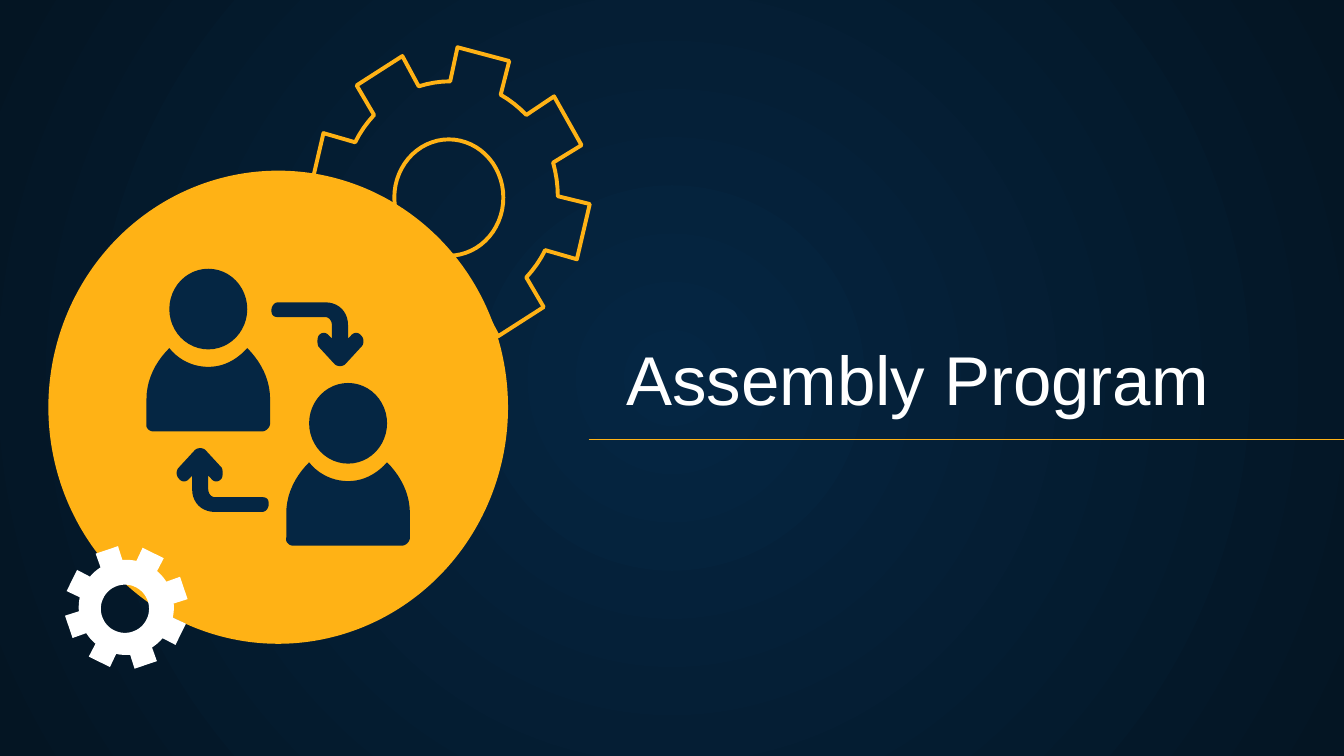
import math

import pptx
import pptx.dml.color
import pptx.enum.shapes
import pptx.enum.text
import pptx.oxml
import pptx.oxml.ns
import pptx.util
from pptx.util import Inches

NAVY = pptx.dml.color.RGBColor(0x05, 0x26, 0x43)
MIDNIGHT = pptx.dml.color.RGBColor(0x04, 0x15, 0x23)
AMBER = pptx.dml.color.RGBColor(0xFF, 0xB2, 0x15)
WHITE = pptx.dml.color.RGBColor(0xFF, 0xFF, 0xFF)

# Outlines in inches: a pair is a corner, six numbers are a Bezier curve.
SHOULDERS = [
    (1.26, 2.59), (1.16, 2.69, 1.09, 2.82, 1.09, 2.97), (1.09, 3.15),
    (1.08, 3.18, 1.11, 3.21, 1.14, 3.21), (1.95, 3.21),
    (1.98, 3.21, 2.01, 3.18, 2.01, 3.15), (2.01, 2.97),
    (2.01, 2.82, 1.94, 2.69, 1.84, 2.59),
    (1.76, 2.68, 1.66, 2.73, 1.55, 2.73),
    (1.44, 2.73, 1.33, 2.68, 1.26, 2.59),
]
SWAP_ARROW = [
    (2.07, 2.25), (2.04, 2.25, 2.02, 2.28, 2.02, 2.31),
    (2.02, 2.34, 2.03, 2.36, 2.07, 2.36), (2.42, 2.36),
    (2.45, 2.36, 2.47, 2.39, 2.47, 2.42), (2.47, 2.52), (2.45, 2.5),
    (2.43, 2.47, 2.39, 2.47, 2.37, 2.5),
    (2.36, 2.52, 2.36, 2.56, 2.37, 2.58), (2.49, 2.71),
    (2.51, 2.73, 2.55, 2.73, 2.57, 2.71), (2.69, 2.58),
    (2.71, 2.56, 2.71, 2.52, 2.69, 2.5),
    (2.67, 2.47, 2.63, 2.47, 2.61, 2.5), (2.59, 2.52), (2.59, 2.42),
    (2.59, 2.32, 2.52, 2.25, 2.42, 2.25),
]


def trace(outline, steps=10):
    """Turn corners and Bezier curves into a list of points."""
    points = []
    for step in outline:
        if len(step) == 2:
            points.append(step)
            continue
        start, c1, c2, end = points[-1], step[:2], step[2:4], step[4:]
        for i in range(1, steps + 1):
            t = i / steps
            u = 1 - t
            points.append(tuple(
                u**3 * a + 3 * u * u * t * b + 3 * u * t * t * c + t**3 * d
                for a, b, c, d in zip(start, c1, c2, end)))
    return points


def gear_contours(cx, cy, rx, ry, turn, teeth=8):
    """Rim and hole of a gear whose first tooth points at `turn` degrees."""
    def at(radius, degrees):
        angle = math.radians(degrees)
        return (cx + rx * radius * math.cos(angle),
                cy + ry * radius * math.sin(angle))

    pitch, tip, root = 360 / teeth, 11, 14
    rim = []
    for tooth in range(teeth):
        middle = turn + tooth * pitch
        rim += [at(0.77, middle - root), at(1, middle - tip), at(1, middle + tip)]
        valley = pitch - 2 * root
        rim += [at(0.77, middle + root + valley * i / 4) for i in range(4)]
    hole = [at(0.39, -degrees) for degrees in range(0, 360, 6)]
    return [rim, [(x - 0.01, y + 0.01) for x, y in hole]]


class SlideArtist:
    def __init__(self, slide):
        self.slide = slide
        self.shapes = slide.shapes
        self.font = "Arial"

    def background(self, centre, edge):
        fill = self.slide.background.fill
        fill.gradient()
        for stop, color, position in zip(fill.gradient_stops, (centre, edge), (0, 1)):
            stop.color.rgb = color
            stop.position = position
        qn = pptx.oxml.ns.qn
        gradient = self.slide.element.find(".//" + qn("a:gradFill"))
        linear = gradient.find(qn("a:lin"))
        gradient.replace(linear, pptx.oxml.parse_xml(
            f'<a:path {pptx.oxml.ns.nsdecls("a")} path="circle">'
            '<a:fillToRect l="50000" t="50000" r="50000" b="50000"/></a:path>'))

    def paint(self, shape, fill, line=None, weight=0):
        shape.shadow.inherit = False
        if fill is None:
            shape.fill.background()
        else:
            shape.fill.solid()
            shape.fill.fore_color.rgb = fill
        if line is None:
            shape.line.fill.background()
        else:
            shape.line.color.rgb = line
            shape.line.width = pptx.util.Pt(weight)

    def ellipse(self, left, top, width, height, fill):
        oval = self.shapes.add_shape(
            pptx.enum.shapes.MSO_SHAPE.OVAL,
            Inches(left), Inches(top), Inches(width), Inches(height))
        self.paint(oval, fill)

    def outline(self, contours, fill, line=None, weight=0):
        contours = [[(Inches(x), Inches(y)) for x, y in c] for c in contours]
        builder = self.shapes.build_freeform(*contours[0][0])
        for index, points in enumerate(contours):
            if index:
                builder.move_to(*points[0])
            builder.add_line_segments(points[1:], close=True)
        self.paint(builder.convert_to_shape(), fill, line, weight)

    def person(self, dx, dy, fill):
        self.ellipse(1.26 + dx, 2 + dy, 0.58, 0.6, fill)
        self.outline([[(x + dx, y + dy) for x, y in trace(SHOULDERS)]], fill)

    def rule(self, x1, x2, y, color, weight):
        divider = self.shapes.add_connector(
            pptx.enum.shapes.MSO_CONNECTOR.STRAIGHT,
            Inches(x1), Inches(y), Inches(x2), Inches(y))
        divider.line.fill.solid()
        divider.line.fill.fore_color.rgb = color
        divider.line.width = pptx.util.Pt(weight)
        element = divider.element
        element.spPr.append(pptx.oxml.parse_xml(
            f'<a:effectLst {pptx.oxml.ns.nsdecls("a")}/>'))
        element.remove(element.find(pptx.oxml.ns.qn("p:style")))

    def title(self, text, left, top, width, height, size, color):
        title = self.shapes.title
        title.left, title.top = Inches(left), Inches(top)
        title.width, title.height = Inches(width), Inches(height)
        frame = title.text_frame
        frame.text = text
        frame.word_wrap = True
        frame.auto_size = pptx.enum.text.MSO_AUTO_SIZE.NONE
        frame.vertical_anchor = pptx.enum.text.MSO_ANCHOR.BOTTOM
        frame.margin_left = frame.margin_right = Inches(0.1)
        frame.margin_top = frame.margin_bottom = Inches(0.1)
        paragraph = frame.paragraphs[0]
        paragraph.alignment = pptx.enum.text.PP_ALIGN.LEFT
        paragraph.font.name = self.font
        paragraph.font.size = pptx.util.Pt(size)
        paragraph.font.color.rgb = color


def main():
    deck = pptx.Presentation()
    # A 16:9 page
    deck.slide_width = Inches(10)
    deck.slide_height = Inches(10 * 9 / 16)
    artist = SlideArtist(deck.slides.add_slide(deck.slide_layouts[5]))
    artist.background(NAVY, MIDNIGHT)

    # Amber disc, section title and its rule
    artist.ellipse(0.36, 1.27, 3.42, 3.52, AMBER)
    artist.title("Assembly Program", 4.56, 2.56, 4.83, 0.66, 37, WHITE)
    artist.rule(4.38, 10.41, 3.27, AMBER, 0.75)

    # Two people changing places; the second arrow is the first turned by 180°
    artist.person(0, 0, NAVY)
    artist.person(1.04, 0.85, NAVY)
    arrow = trace(SWAP_ARROW)
    artist.outline([arrow], NAVY)
    artist.outline([[(4.02 - x, 6.06 - y) for x, y in arrow]], NAVY)

    # Solid small gear and outlined large gear
    artist.outline(gear_contours(0.94, 4.52, 0.46, 0.46, 26.3), WHITE)
    artist.outline(gear_contours(3.35, 1.46, 1.04, 1.11, 14), None, AMBER, 2.1)

    deck.save("out.pptx")


if __name__ == "__main__":
    main()
